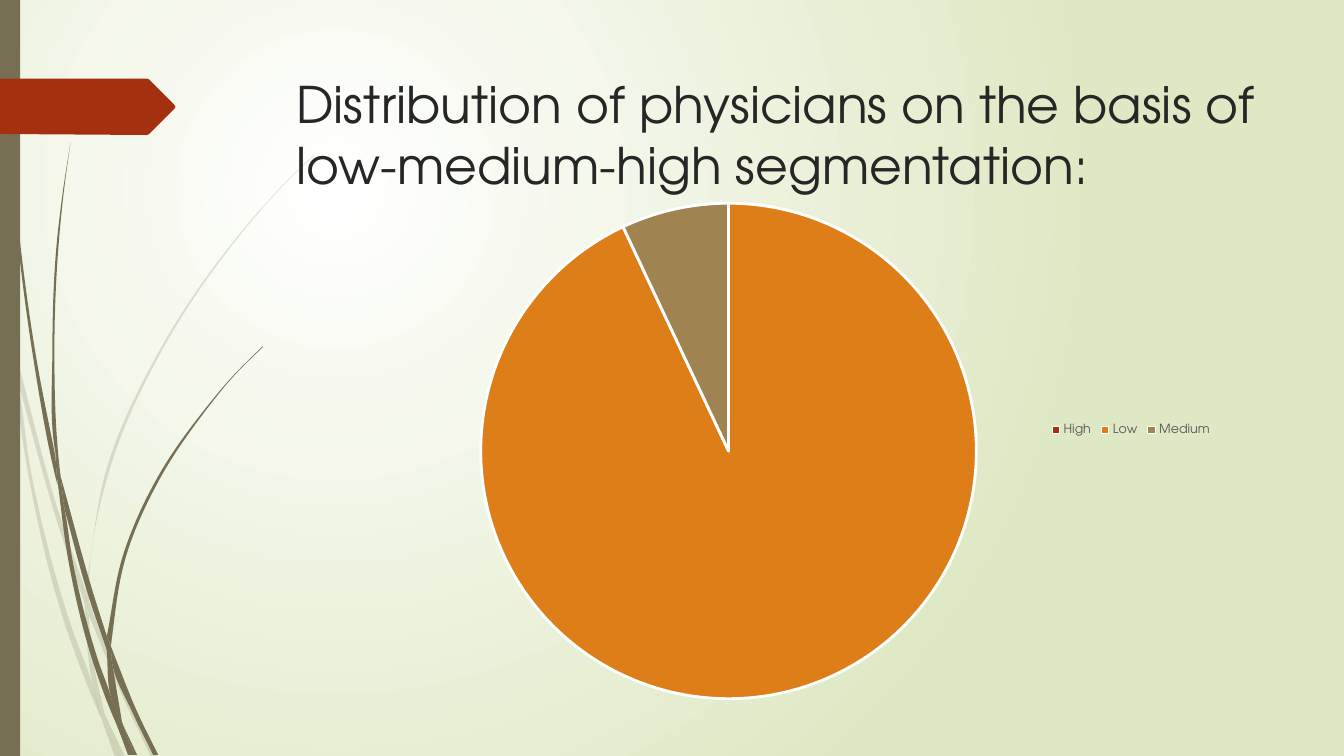
"""Builds a slide with a pie chart of physicians by segment beside grass-blade artwork."""
from dataclasses import dataclass
from math import dist, hypot

from lxml.etree import SubElement
from pptx import Presentation
from pptx.chart.data import CategoryChartData
from pptx.dml.color import RGBColor as RGB
from pptx.enum.chart import XL_CHART_TYPE as ChartType, XL_LEGEND_POSITION as LegendPos
from pptx.enum.shapes import MSO_SHAPE as Preset
from pptx.enum.text import MSO_ANCHOR as Anchor, PP_ALIGN as Align
from pptx.oxml.ns import qn
from pptx.util import Inches, Pt


@dataclass(frozen=True)
class Theme:
    font: str = "TeX Gyre Adventor"
    glow: str = "FFFFFF"
    backdrop: str = "DFE8C4"
    stem: str = "766F54"
    tag: str = "A53010"
    title: str = "262626"
    chart: str = "000000"
    legend: str = "595959"
    slices: tuple = ("A53010", "DE7E18", "9F8351")
    title_size: int = 36
    chart_size: int = 10
    legend_size: int = 9


FAINT_BLADES = [
    ([(0.11, 3.5), (0.09, 3.22), (0, 2.82)], [(0, 2.99), (0.1, 3.44)]),
    ([(0.17, 3.76), (0.58, 5.22), (0.84, 5.99)], [(0.85, 5.86), (0.62, 5.2), (0.14, 3.45)]),
    ([(1.55, 7.51), (1.27, 6.92), (0.92, 6.07), (0.88, 5.96)],
     [(0.88, 6.1), (1.23, 6.94), (1.5, 7.51)]),
    ([(1.19, 7.51), (1.24, 7.51)], [(1.05, 7.11)]),
    ([(1.01, 7.14), (0.93, 6.83), (0.7, 6.19), (0.31, 4.69), (0.17, 3.76), (0.11, 3.5)],
     [(0.11, 3.5), (0.28, 4.7), (0.65, 6.21), (0.92, 6.93), (1.01, 7.14)]),
    ([(0.84, 5.99), (0.87, 6.46), (0.93, 6.83), (1.05, 7.11)],
     [(1.03, 7.06), (0.91, 6.46), (0.88, 6.1)]),
    ([(0.88, 5.96), (0.88, 5.84), (1.1, 4.62), (1.6, 3.49), (2.29, 2.45), (2.68, 1.98),
      (2.9, 1.75), (3.12, 1.54)],
     [(3.12, 1.53), (2.89, 1.75), (2.68, 1.97), (2.28, 2.44), (1.58, 3.48), (1.07, 4.61),
      (0.85, 5.84)]),
    ([(1.01, 7.14), (1.14, 7.51)], [(1.19, 7.51)]),
    ([(0.88, 6.08), (0.88, 5.96)], [(0.85, 5.86), (0.84, 5.99)]),
    ([(0.93, 6.83), (0.99, 7.07), (1.19, 7.51)], [(1.05, 7.11), (0.96, 6.92)]),
]
DARK_BLADES = [
    ([(0.04, 0), (0.05, 0.48), (0.08, 1.09), (0.19, 2.32), (0.36, 3.55), (0.55, 4.53)],
     [(0.57, 4.81), (0.56, 4.77), (0.33, 3.55), (0.17, 2.33), (0.07, 1.1), (0.04, 0.48),
      (0.03, 0)]),
    ([(0.64, 5.05), (0.88, 5.92), (1.06, 6.45)], [(1.06, 6.31), (0.93, 5.9), (0.6, 4.72)]),
    ([(1.1, 6.41), (1.11, 6.56), (1.32, 7.08), (1.52, 7.49)],
     [(1.57, 7.49), (1.36, 7.06), (1.13, 6.49)]),
    ([(1.17, 7.22), (1.1, 6.91), (0.98, 6.57), (0.72, 5.56), (0.64, 5.05), (0.57, 4.77)],
     [(0.57, 4.77), (0.68, 5.57), (0.93, 6.59), (1.11, 7.08), (1.17, 7.22)]),
    ([(0.6, 4.72), (0.58, 4.53), (0.54, 3.49), (0.58, 2.45), (0.63, 1.93), (0.7, 1.41)],
     [(0.7, 1.41), (0.62, 1.93), (0.56, 2.45), (0.52, 3.49), (0.55, 4.49), (0.6, 4.72)]),
    ([(1.33, 7.49), (1.36, 7.49)], [(1.22, 7.19)]),
    ([(0.55, 4.49), (0.57, 4.77), (0.64, 5.05)], [(0.6, 4.72)]),
    ([(1.1, 6.41), (1.11, 6.33), (1.25, 5.52), (1.58, 4.76), (2.05, 4.06), (2.31, 3.74),
      (2.61, 3.44)],
     [(2.6, 3.44), (2.31, 3.73), (2.04, 4.05), (1.56, 4.74), (1.22, 5.51), (1.06, 6.31)]),
    ([(1.17, 7.22), (1.27, 7.49)], [(1.31, 7.49)]),
    ([(1.06, 6.45), (1.1, 6.91), (1.22, 7.19)], [(1.21, 7.16), (1.11, 6.56)]),
    ([(1.06, 6.31), (1.06, 6.45), (1.11, 6.56)], [(1.1, 6.41)]),
    ([(1.1, 6.91), (1.17, 7.22), (1.3, 7.49)], [(1.33, 7.49), (1.22, 7.19)]),
]
TAG_OUTLINE = [(0, 0.78), (1.46, 0.78), (1.48, 0.79), (1.73, 1.04), (1.74, 1.06),
               (1.73, 1.08), (1.48, 1.33), (1.46, 1.34), (0, 1.33)]


def bezier(edge):
    """Return two controls and an end for each stretch of an edge."""
    stretches = list(zip(edge, edge[1:]))
    lengths = [dist(*ends) for ends in stretches]
    units = [((c - a) / size, (d - b) / size)
             for ((a, b), (c, d)), size in zip(stretches, lengths)]
    headings = units[:1]
    for before, after, near, far in zip(units, units[1:], lengths, lengths[1:]):
        x, y = (u * far + v * near for u, v in zip(before, after))
        headings.append((x / hypot(x, y), y / hypot(x, y)))
    headings += units[-1:]
    points = []
    for (start, end), size, leave, arrive in zip(stretches, lengths, headings, headings[1:]):
        points += [tuple(a + u * size / 3 for a, u in zip(start, leave)),
                   tuple(b - v * size / 3 for b, v in zip(end, arrive)), end]
    return points


class SlideBuilder:
    """Holds the theme and the current slide and adds each kind of element."""

    def __init__(self, slide, theme):
        self.slide, self.theme = slide, theme

    def background(self):
        """Fill the background with a radial glow."""
        fill = self.slide.background.fill
        fill.gradient()
        for stop, color in zip(fill.gradient_stops, (self.theme.glow, self.theme.backdrop)):
            stop.color.rgb = RGB.from_string(color)
        gradient = self.slide.element.find(".//" + qn("a:gradFill"))
        gradient.remove(gradient.find(qn("a:lin")))
        circle = SubElement(gradient, qn("a:path"), {"path": "circle"})
        SubElement(circle, qn("a:fillToRect"), l="50000", t="50000", r="100000", b="100000")

    def paint(self, shape, color, opacity=100):
        """Give a shape a plain fill without line or shadow."""
        shape.shadow.inherit = False
        shape.line.fill.background()
        shape.fill.solid()
        shape.fill.fore_color.rgb = RGB.from_string(color)
        if opacity < 100:
            tint = shape.fill._xPr.find(".//" + qn("a:srgbClr"))
            SubElement(tint, qn("a:alpha"), val=str(opacity * 1000))

    def outline(self, shapes, points, color, opacity=100):
        """Draw a closed outline through points and return it."""
        first, *rest = [(Inches(x), Inches(y)) for x, y in points]
        builder = shapes.build_freeform(*first)
        builder.add_line_segments(rest, close=True)
        shape = builder.convert_to_shape()
        self.paint(shape, color, opacity)
        return shape

    def blades(self, pieces, opacity=100):
        """Draw one group of curved grass blades."""
        group = self.slide.shapes.add_group_shape()
        for left, right in pieces:
            bridge = [left[-1], right[0], right[0]] if left[-1] != right[0] else []
            points = left[:1] + bezier(left) + bridge + (bezier(right) if right[1:] else [])
            blade = self.outline(group.shapes, points, self.theme.stem, opacity)
            lines = list(blade._element.iter(qn("a:lnTo")))
            for i in range(0, len(lines), 3):
                curve = lines[i].makeelement(qn("a:cubicBezTo"))
                lines[i].addprevious(curve)
                for line in lines[i:i + 3]:
                    curve.append(line[0])
                    line.getparent().remove(line)

    def bar(self, left, top, width, height):
        """Draw the edge bar."""
        box = map(Inches, (left, top, width, height))
        self.paint(self.slide.shapes.add_shape(Preset.RECTANGLE, *box), self.theme.stem)

    def title(self, wording, left, top, width, height):
        """Place the title above the artwork."""
        title = self.slide.shapes.title
        title.left, title.top, title.width, title.height = map(Inches, (left, top, width, height))
        self.slide.shapes._spTree.append(title._element)
        frame = title.text_frame
        frame.text = wording
        frame.word_wrap, frame.vertical_anchor = True, Anchor.TOP
        frame.paragraphs[0].alignment = Align.LEFT
        self.style(frame.paragraphs[0].runs[0].font, self.theme.title_size, self.theme.title)

    def style(self, font, size, color):
        """Set the typeface, size and colour of a font."""
        font.name, font.size = self.theme.font, Pt(size)
        font.color.rgb = RGB.from_string(color)

    def layout(self, parent, index, **fractions):
        """Fix the place of a chart part."""
        for old in parent.findall(qn("c:layout")):
            parent.remove(old)
        layout = parent.makeelement(qn("c:layout"))
        parent.insert(index, layout)
        manual = SubElement(layout, qn("c:manualLayout"))
        if index == 0:
            SubElement(manual, qn("c:layoutTarget"), val="inner")
        for mode in ("xMode", "yMode"):
            SubElement(manual, qn("c:" + mode), val="edge")
        for key, fraction in fractions.items():
            SubElement(manual, qn("c:" + key), val=str(fraction))

    def pie(self, shares, left, top, width, height):
        """Add the pie chart with its legend."""
        data = CategoryChartData()
        data.categories = list(shares)
        data.add_series("Series 1", list(shares.values()))
        box = map(Inches, (left, top, width, height))
        chart = self.slide.shapes.add_chart(ChartType.PIE, *box, data).chart
        chart.has_title = False
        self.style(chart.font, self.theme.chart_size, self.theme.chart)
        plot = chart.plots[0]
        plot.vary_by_categories = True
        for i, color in enumerate(self.theme.slices):
            piece = plot.series[0].points[i].format
            piece.fill.solid()
            piece.fill.fore_color.rgb = RGB.from_string(color)
            piece.line.color.rgb = RGB.from_string(self.theme.glow)
            piece.line.width = Pt(2)
        chart.has_legend = True
        legend = chart.legend
        legend.position, legend.include_in_layout = LegendPos.RIGHT, False
        self.style(legend.font, self.theme.legend_size, self.theme.legend)
        self.layout(chart._chartSpace.find(".//" + qn("c:plotArea")), 0, x=0.17, y=0.03, w=0.57, h=0.94)
        self.layout(legend._element, 1, x=0.81, y=0.43, w=0.19, h=0.06)


def main():
    """Build and save the slide."""
    deck = Presentation()
    deck.slide_width, deck.slide_height = Inches(13.33), Inches(7.5)
    theme = Theme()
    page = SlideBuilder(deck.slides.add_slide(deck.slide_layouts[5]), theme)
    page.background()
    page.blades(FAINT_BLADES, opacity=20)
    page.blades(DARK_BLADES)
    page.bar(0, 0, 0.2, 7.5)
    page.outline(page.slide.shapes, TAG_OUTLINE, theme.tag)
    page.title("Distribution of physicians on the basis of low-medium-high segmentation:",
               2.84, 0.68, 9.75, 1.4)
    page.pie({"High": 0, "Low": 93, "Medium": 7}, 3.19, 1.86, 8.87, 5.23)
    deck.save("out.pptx")


if __name__ == "__main__":
    main()
